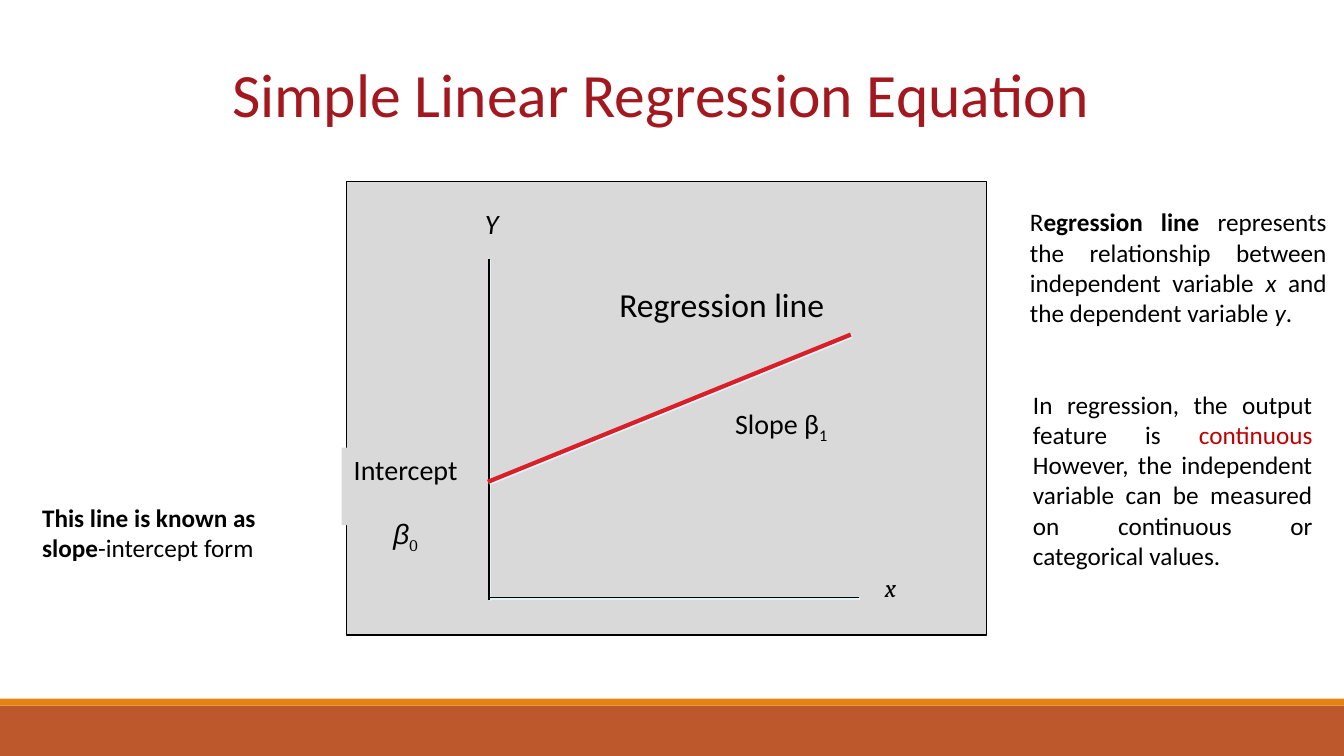
from dataclasses import dataclass
from typing import NamedTuple, Optional

from lxml.etree import SubElement
from pptx import Presentation
from pptx.dml.color import RGBColor
from pptx.enum.shapes import MSO_CONNECTOR as Conn, MSO_SHAPE as Shape
from pptx.enum.text import MSO_ANCHOR as Anchor, PP_ALIGN as Align
from pptx.oxml.ns import qn
from pptx.util import Pt

BLACK, GREY = "000000", "D9D9D9"
LINE_GLOW = "DEF5FA"


class Run(NamedTuple):
    text: str
    bold: bool = False
    italic: bool = False
    color: Optional[str] = None
    font: Optional[str] = None
    subscript: bool = False


@dataclass
class Para:
    runs: list[Run]
    size: float = 18
    font: str = "Calibri"
    color: str = BLACK
    align: Align = Align.CENTER
    before: float = 0


@dataclass
class Block:
    left: float
    top: float
    width: float
    height: float
    fill: Optional[str] = None
    line: Optional[str] = None
    paras: tuple[Para, ...] = ()
    wrap: bool = True
    anchor: Anchor = Anchor.TOP


@dataclass
class Stroke:
    x1: float
    y1: float
    x2: float
    y2: float
    color: str = BLACK
    width: float = 1


def rgb(value: str) -> RGBColor:
    return RGBColor.from_string(value)


def write_paragraph(p, para: Para) -> None:
    p.alignment = para.align
    if para.before:
        p.space_before = Pt(para.before)
    p.font.size = Pt(para.size)
    p.font.name = para.font
    p.font.color.rgb = rgb(para.color)
    for run in para.runs:
        r = p.add_run()
        r.text = run.text
        if run.bold:
            r.font.bold = True
        if run.italic:
            r.font.italic = True
        if run.color:
            r.font.color.rgb = rgb(run.color)
        if run.font:
            r.font.name = run.font
        if run.subscript:
            r._r.get_or_add_rPr().set("baseline", "-25000")


def draw_block(slide, block: Block) -> None:
    box = [Pt(v) for v in (block.left, block.top, block.width, block.height)]
    if block.fill:
        sp = slide.shapes.add_shape(Shape.RECTANGLE, *box)
        sp.shadow.inherit = False
        sp.fill.solid()
        sp.fill.fore_color.rgb = rgb(block.fill)
        if block.line:
            sp.line.color.rgb = rgb(block.line)
            sp.line.width = Pt(1)
        else:
            sp.line.fill.background()
    else:
        sp = slide.shapes.add_textbox(*box)
    tf = sp.text_frame
    tf.word_wrap = block.wrap
    tf.vertical_anchor = block.anchor
    for i, para in enumerate(block.paras):
        write_paragraph(tf.add_paragraph() if i else tf.paragraphs[0], para)


def draw_stroke(slide, stroke: Stroke) -> None:
    ends = [Pt(v) for v in (stroke.x1, stroke.y1, stroke.x2, stroke.y2)]
    line = slide.shapes.add_connector(Conn.STRAIGHT, *ends)
    line.line.color.rgb = rgb(stroke.color)
    line.line.width = Pt(stroke.width)
    # Pale shadow, down and to the right
    effects = SubElement(line._element.spPr, qn("a:effectLst"))
    shadow = SubElement(effects, qn("a:outerShdw"), dist=str(Pt(1.4)), dir="2700000")
    SubElement(shadow, qn("a:srgbClr"), val=LINE_GLOW)


def label(left: float, top: float, width: float, height: float, *paras: Para) -> Block:
    return Block(left, top, width, height, GREY, paras=paras, wrap=False)


def note(left: float, top: float, width: float, height: float,
         align: Align, *runs: Run) -> Block:
    return Block(left, top, width, height, paras=(Para(list(runs), align=align),))


# Footer bands, title and chart panel
FRAME = [
    Block(0, 504, 960, 36, "BD582C"),
    Block(0, 499, 960, 5, "E48312"),
    Block(148.3, 21.6, 648, 90, anchor=Anchor.MIDDLE, paras=(
        Para([Run("Simple Linear Regression Equation")], 44, color="A3171E"),)),
    Block(247.7, 129.6, 457.2, 324, GREY, BLACK),
]

# Labels inside the panel
LABELS = [
    label(339, 144, 24.5, 31.7, Para([Run("Y", italic=True)], 20)),
    label(622.8, 405.4, 26.6, 36, Para([Run("x", italic=True)], font="Cambria")),
    label(517, 286.6, 82, 31.7,
          Para([Run("Slope β"), Run("1", subscript=True)], 20)),
    label(434.2, 199.4, 162.7, 36, Para([Run("Regression line")], 24)),
    label(244.1, 319.7, 91.4, 55.4,
          Para([Run("Intercept")], 20),
          Para([Run("β", italic=True), Run("0", font="Cambria", subscript=True)],
               20, "Arial", before=22)),
]

# Axes and regression line
STROKES = [
    Stroke(349.2, 185, 349.2, 428.4),
    Stroke(613.4, 427, 349.2, 427),
    Stroke(348.5, 344.2, 607.7, 239, "DA1F28", 3),
]

# Explanations beside the panel
NOTES = [
    note(728.6, 144, 226.1, 94.3, Align.JUSTIFY,
         Run("R"), Run("egression line", bold=True),
         Run(" represents the relationship between independent variable "),
         Run("x ", italic=True), Run("and the dependent variable "),
         Run("y", italic=True), Run(".")),
    note(23, 355, 206.6, 51.1, Align.LEFT,
         Run("This line is known as slope", bold=True), Run("-intercept form")),
    note(730.8, 274.3, 213.8, 159.8, Align.JUSTIFY,
         Run("In regression, the output feature is "),
         Run("continuous ", color="C00000"),
         Run("However, the independent variable can be measured on "
             "continuous or categorical values.")),
]


def main() -> None:
    prs = Presentation()
    prs.slide_width, prs.slide_height = Pt(960), Pt(540)
    s = prs.slides.add_slide(prs.slide_layouts[6])
    for block in FRAME + LABELS:
        draw_block(s, block)
    for stroke in STROKES:
        draw_stroke(s, stroke)
    for block in NOTES:
        draw_block(s, block)
    prs.save("out.pptx")


if __name__ == "__main__":
    main()
